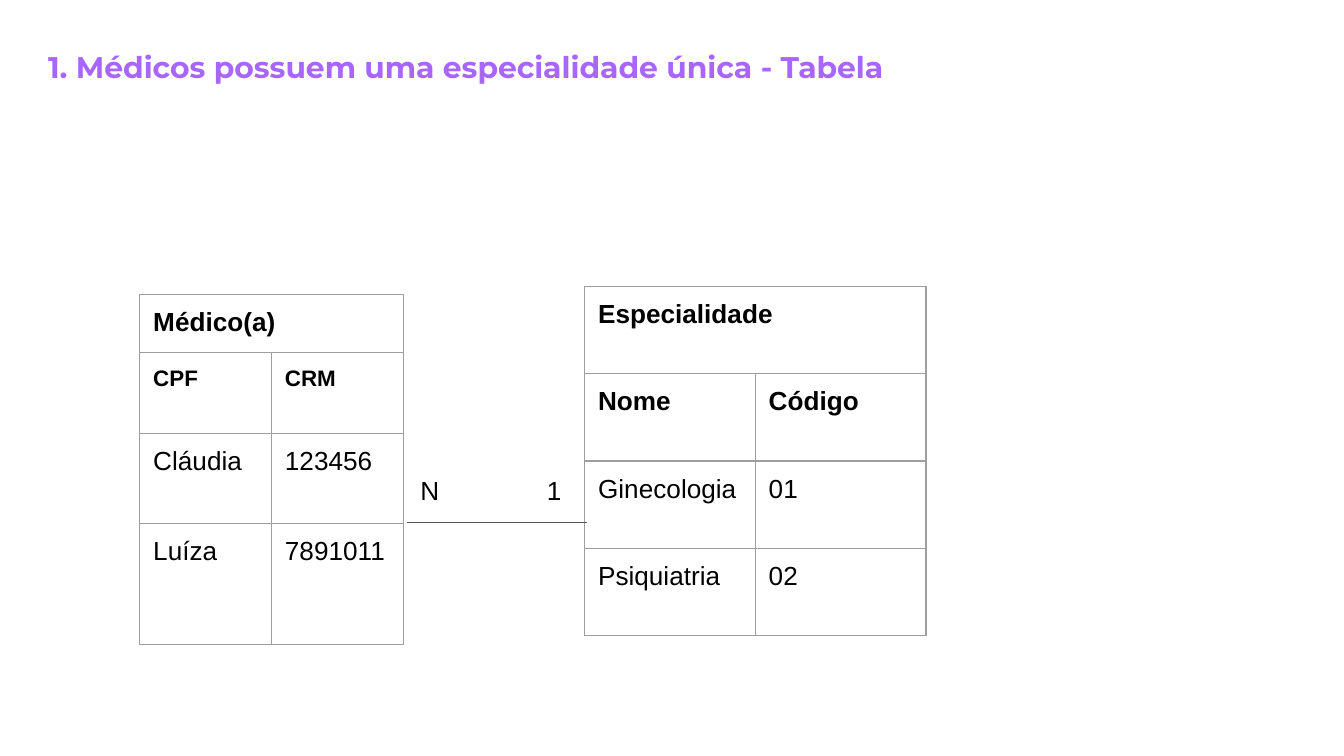
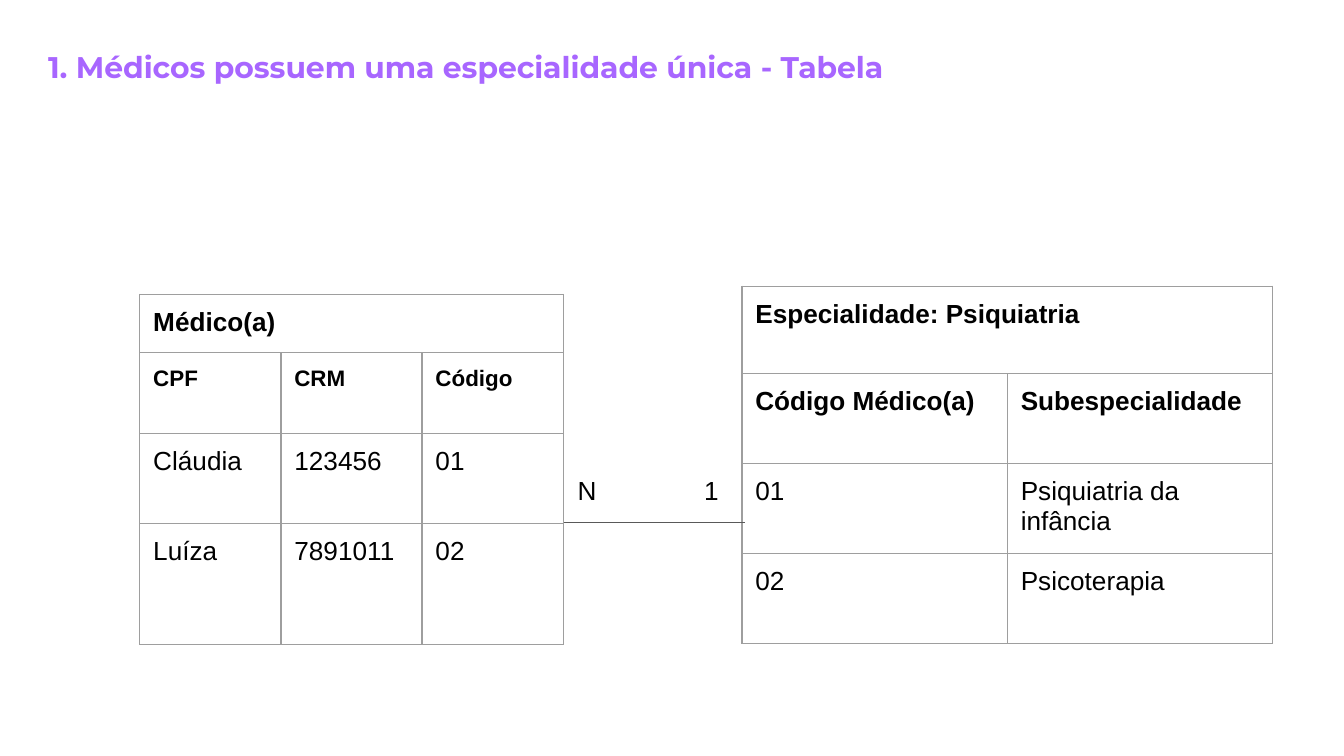
from dataclasses import dataclass

from lxml.etree import SubElement
from pptx import Presentation
from pptx.dml.color import RGBColor
from pptx.enum.shapes import MSO_CONNECTOR as CONNECTOR
from pptx.enum.text import MSO_AUTO_SIZE as AUTO_SIZE
from pptx.oxml.ns import qn
from pptx.util import Inches, Pt


@dataclass(frozen=True)
class Theme:
    """Colours, fonts and sizes shared by the slides."""
    accent: str = "A866FF"
    ink: str = "000000"
    grid: str = "9E9E9E"
    link: str = "595959"
    title_font: str = "Montserrat"
    body_font: str = "Arial"
    title_size: int = 16
    body_size: int = 14
    small_size: int = 12
    line_width: float = 0.75
    inset: float = 0.1


THEME = Theme()
TITLE = "1. Médicos possuem uma especialidade única - Tabela"
TITLE_BOX = (0.26, 0.26, 8.64, 0.47)
DOCTOR_ROWS = (0.43, 0.6, 0.67, 0.9)
DOCTOR_LEFT, DOCTOR_TOP, SPECIALTY_TOP = 1.04, 2.19, 2.13
LINK_TOP, LINK_WIDTH, LINK_HEIGHT = 3.43, 1.34, 0.46
LABEL_WIDTH, LABEL_HEIGHT = 0.4, 0.44


def write(tf, text, size=THEME.body_size, font=THEME.body_font,
          color=THEME.ink, bold=False):
    """Write one formatted run into a text frame."""
    r = tf.paragraphs[0].add_run()
    r.text = text
    r.font.size = Pt(size)
    r.font.name = font
    r.font.bold = bold
    r.font.color.rgb = RGBColor.from_string(color)


def add_text(slide, box, text, **style):
    """Place a wrapping text box in box (left, top, width, height)."""
    tf = slide.shapes.add_textbox(*map(Inches, box)).text_frame
    tf.word_wrap = True
    tf.auto_size = AUTO_SIZE.SHAPE_TO_FIT_TEXT
    tf.margin_left = tf.margin_right = Inches(THEME.inset)
    tf.margin_top = tf.margin_bottom = Inches(THEME.inset)
    write(tf, text, **style)


def outline_cell(cell):
    """Draw the grid line on all four sides of a cell."""
    props = cell._tc.get_or_add_tcPr()
    for i, side in enumerate(("lnL", "lnR", "lnT", "lnB")):
        ln = props.makeelement(qn(f"a:{side}"),
                               {"w": str(Pt(THEME.line_width))})
        fill = SubElement(ln, qn("a:solidFill"))
        SubElement(fill, qn("a:srgbClr"), val=THEME.grid)
        props.insert(i, ln)


def add_entity(slide, box, title, headers, records, row_heights,
               header_size=THEME.body_size):
    """Place an entity table: merged title, bold headers, then records."""
    rows = [[title] + [""] * (len(headers) - 1), headers, *records]
    frame = slide.shapes.add_table(len(rows), len(headers),
                                   *map(Inches, box))
    table = frame.table
    table.first_row = table.horz_banding = False
    for col in table.columns:
        col.width = Inches(box[2] / len(headers))
    for row, height in zip(table.rows, row_heights):
        row.height = Inches(height)
    table.cell(0, 0).merge(table.cell(0, len(headers) - 1))
    for i, texts in enumerate(rows):
        for j, text in enumerate(texts):
            cell = table.cell(i, j)
            cell.fill.background()
            cell.margin_left = cell.margin_right = Inches(THEME.inset)
            cell.margin_top = cell.margin_bottom = Inches(THEME.inset)
            outline_cell(cell)
            if text:
                write(cell.text_frame, text, bold=i < 2,
                      size=header_size if i == 1 else THEME.body_size)


def add_relation(slide, box):
    """Draw an N to 1 line along the foot of box, with a label at each end."""
    left, top, width, height = box
    y = top + height
    line = slide.shapes.add_connector(
        CONNECTOR.STRAIGHT, *map(Inches, (left, y, left + width, y)))
    line.line.color.rgb = RGBColor.from_string(THEME.link)
    line.line.width = Pt(THEME.line_width)
    SubElement(line._element.spPr, qn("a:effectLst"))
    for text, x in (("N", left), ("1", left + width - LABEL_WIDTH)):
        add_text(slide, (x, top, LABEL_WIDTH, LABEL_HEIGHT), text)


def add_slide(prs, doctor, specialty, link_left):
    """Add a titled slide with two entity tables and their relation."""
    slide = prs.slides.add_slide(prs.slide_layouts[6])
    add_text(slide, TITLE_BOX, TITLE, size=THEME.title_size,
             font=THEME.title_font, color=THEME.accent, bold=True)
    add_entity(slide,
               (DOCTOR_LEFT, DOCTOR_TOP, doctor["width"], sum(DOCTOR_ROWS)),
               "Médico(a)", doctor["headers"], doctor["records"],
               DOCTOR_ROWS, header_size=THEME.small_size)
    heights = specialty["heights"]
    add_entity(slide, (specialty["left"], SPECIALTY_TOP, specialty["width"],
                       sum(heights)),
               specialty["title"], specialty["headers"],
               specialty["records"], heights)
    add_relation(slide, (link_left, LINK_TOP, LINK_WIDTH, LINK_HEIGHT))


prs = Presentation()
prs.slide_width, prs.slide_height = Inches(10), Inches(10 * 9 / 16)

add_slide(
    prs,
    doctor=dict(width=1.96, headers=["CPF", "CRM"],
                records=[["Cláudia", "123456"], ["Luíza", "7891011"]]),
    specialty=dict(left=4.35, width=2.54, heights=[0.65] * 4,
                   title="Especialidade", headers=["Nome", "Código"],
                   records=[["Ginecologia", "01"], ["Psiquiatria", "02"]]),
    link_left=3.03)
add_slide(
    prs,
    doctor=dict(width=3.15, headers=["CPF", "CRM", "Código"],
                records=[["Cláudia", "123456", "01"],
                         ["Luíza", "7891011", "02"]]),
    specialty=dict(left=5.52, width=3.95, heights=[0.65] + [0.67] * 3,
                   title="Especialidade: Psiquiatria",
                   headers=["Código Médico(a)", "Subespecialidade"],
                   records=[["01", "Psiquiatria da infância"],
                            ["02", "Psicoterapia"]]),
    link_left=4.2)

prs.save("out.pptx")
